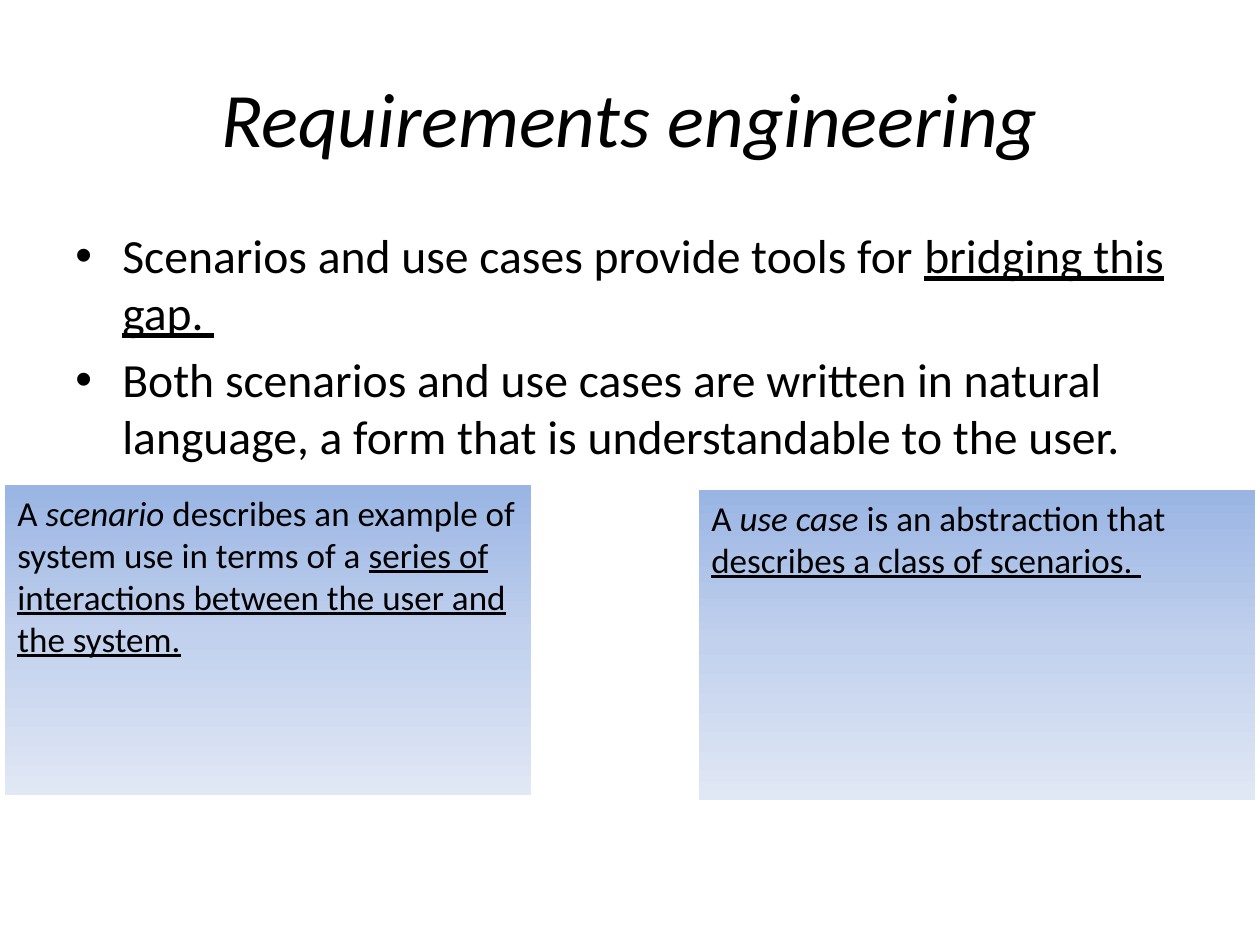
from copy import deepcopy

from lxml import etree
from pptx import Presentation
from pptx.dml.color import RGBColor
from pptx.enum.shapes import MSO_SHAPE as SHAPE
from pptx.enum.text import MSO_ANCHOR as ANCHOR, PP_ALIGN as ALIGN
from pptx.oxml.ns import qn
from pptx.util import Emu, Pt

EMU_PER_PX = 914400 / 126
FONT = "Calibri"
GRADIENT = ["9AB5E4", "C2D1ED", "E1E8F5"]


def px(n):
    """Turn pixels into EMU."""
    return Emu(round(n * EMU_PER_PX))


def rgb(value):
    """Turn a hex string into a colour."""
    return RGBColor.from_string(value)


def add_run(p, text, size=20, color="000000", italic=False, underline=False):
    """Append one formatted run to a paragraph."""
    r = p.add_run()
    r.text = text
    font = r.font
    font.name, font.size = FONT, Pt(size)
    font.italic, font.underline = italic, underline
    font.color.rgb = rgb(color)


def add_bullet(p, indent):
    """Give a paragraph a hanging round bullet."""
    pPr = p._p.get_or_add_pPr()
    pPr.set("marL", str(indent))
    pPr.set("indent", str(-indent))
    etree.SubElement(pPr, qn("a:buFont"), typeface="Arial")
    etree.SubElement(pPr, qn("a:buChar"), char="•")


def text_frame(slide, box):
    """Add a wrapping text box and return its frame."""
    tf = slide.shapes.add_textbox(*map(px, box)).text_frame
    tf.word_wrap = True
    return tf


def add_title(slide, box, text):
    """Place the centred italic title."""
    tf = text_frame(slide, box)
    tf.vertical_anchor = ANCHOR.MIDDLE
    p = tf.paragraphs[0]
    p.alignment = ALIGN.CENTER
    add_run(p, text, size=44, italic=True)


def add_bullets(slide, box, items, size=27.2):
    """Place the bulleted list, each item a list of (text, format) runs."""
    tf = text_frame(slide, box)
    for i, runs in enumerate(items):
        p = tf.add_paragraph() if i else tf.paragraphs[0]
        add_bullet(p, px(47))
        if i:
            p.space_before = Pt(size * 0.2)
        for text, fmt in runs:
            add_run(p, text, size=size, **fmt)


def fill_gradient(sp, colors):
    """Fill a shape from top to bottom with evenly spaced colours."""
    sp.fill.gradient()
    sp.fill.gradient_angle = 270
    gs_lst = sp._element.spPr.find(qn("a:gradFill")).find(qn("a:gsLst"))
    while len(gs_lst) < len(colors):
        gs_lst.append(deepcopy(gs_lst[0]))
    for i, (stop, color) in enumerate(zip(sp.fill.gradient_stops, colors)):
        stop.position = i / (len(colors) - 1)
        stop.color.rgb = rgb(color)


def add_definition(slide, box, term, middle, key):
    """Place a shaded panel that defines one term."""
    sp = slide.shapes.add_shape(SHAPE.RECTANGLE, *map(px, box))
    sp.shadow.inherit = False
    sp.line.fill.background()
    fill_gradient(sp, GRADIENT)
    tf = sp.text_frame
    tf.word_wrap = True
    tf.vertical_anchor = ANCHOR.TOP
    p = tf.paragraphs[0]
    p.alignment = ALIGN.LEFT
    add_run(p, "A ")
    add_run(p, term + " ", italic=True)
    add_run(p, middle + " ")
    add_run(p, key, underline=True)


def main():
    """Build and save the slide."""
    prs = Presentation()
    prs.slide_width, prs.slide_height = px(1260), px(945)
    slide = prs.slides.add_slide(prs.slide_layouts[6])
    add_title(slide, (63, 38, 1134, 158), "Requirements engineering")
    add_bullets(slide, (63, 220, 1134, 213), [
        [("Scenarios and use cases provide tools for ", {}),
         ("bridging this gap. ", {"underline": True})],
        [("Both scenarios and use cases are written in natural language, "
          "a form that is understandable to the user.", {})],
    ])
    add_definition(slide, (5, 485, 526, 310), "scenario",
                   "describes an example of system use in terms of a",
                   "series of interactions between the user and the system.")
    add_definition(slide, (699, 490, 556, 310), "use case",
                   "is an abstraction that",
                   "describes a class of scenarios. ")
    prs.save("out.pptx")


if __name__ == "__main__":
    main()
